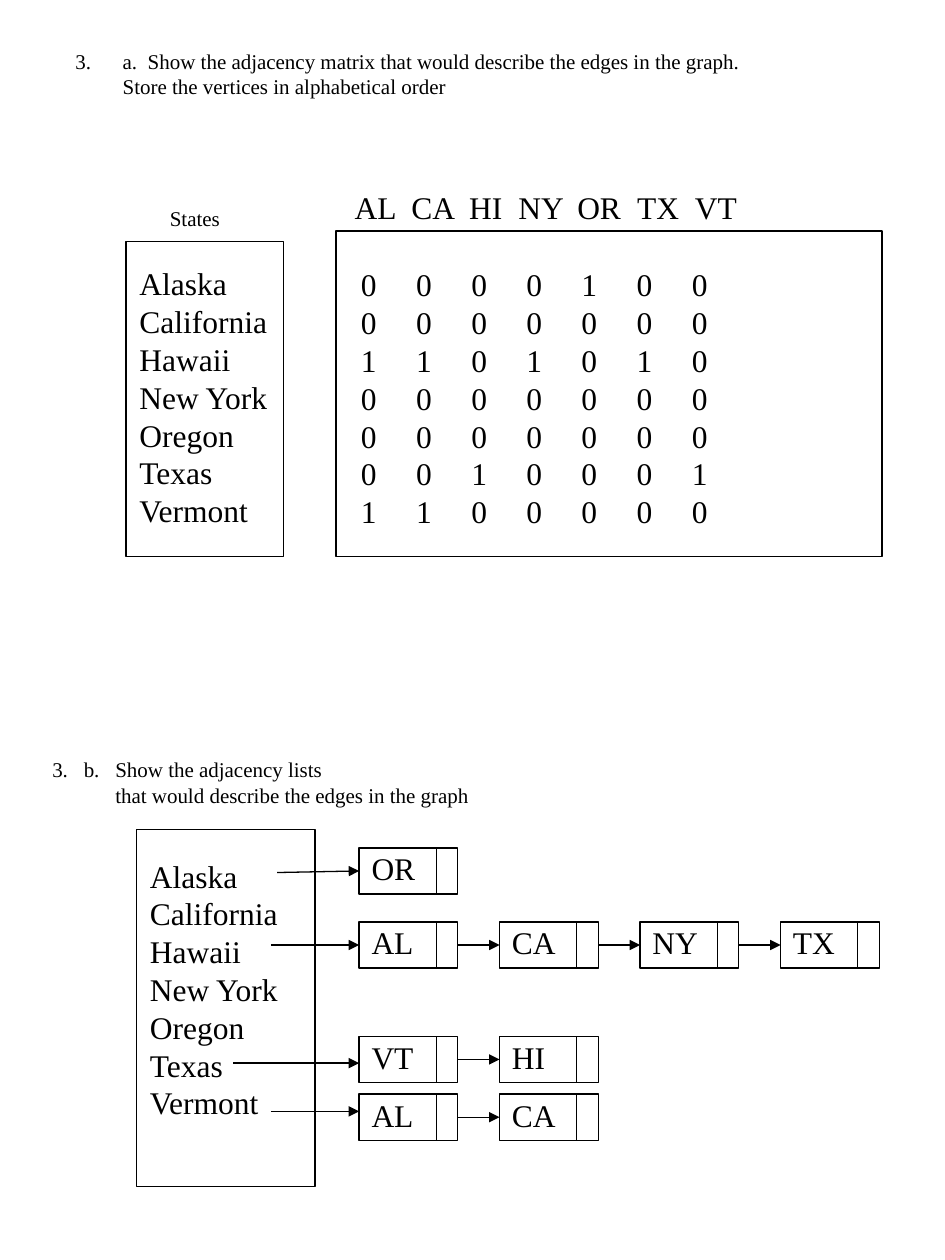
from lxml.etree import SubElement
from pptx import Presentation
from pptx.dml.color import RGBColor
from pptx.enum.shapes import MSO_CONNECTOR as Connector, MSO_SHAPE as Shape
from pptx.enum.text import MSO_AUTO_SIZE as AutoSize
from pptx.oxml.ns import qn
from pptx.util import Inches, Pt

INK = RGBColor(0x00, 0x00, 0x00)
FONT = "Times New Roman"
SMALL, LARGE = 12, 18

# The page is a grid of 90 columns by 120 rows, twelve cells to the inch
COLUMNS, ROWS = 90, 120
CELLS_PER_INCH = 12

STATES = ["Alaska", "California", "Hawaii", "New York", "Oregon", "Texas", "Vermont"]
CODES = ["AL", "CA", "HI", "NY", "OR", "TX", "VT"]
CODE_TABS = [5.4, 10.9, 15.6, 21.2, 26.9, 32.4]
DIGIT_PITCH = 5.25
MATRIX = ["0000100", "0000000", "1101010", "0000000", "0000000", "0010001", "1100000"]

# Linked nodes: width, height, divider offset, first column and pitch
NODE_WIDTH, NODE_HEIGHT, DIVIDER = 9.4, 4.4, 7.35
NODE_LEFT, NODE_PITCH = 34.2, 13.38

# Each list: node row, arrow start, arrow end row (None: middle of the node), codes
LISTS = [
    (80.75, (26.4, 83.1), None, ["OR"]),
    (87.8, (25.8, 90), None, ["AL", "CA", "NY", "TX"]),
    (98.7, (22.2, 101.25), 101.25, ["VT", "HI"]),
    (104.2, (25.8, 105.85), 105.85, ["AL", "CA"]),
]


def cells(count):
    return Inches(count / CELLS_PER_INCH)


def add_text(shapes, lines, left, top, width, height, size, wrap=True):
    box = shapes.add_textbox(*map(cells, (left, top, width, height)))
    frame = box.text_frame
    frame.word_wrap = wrap
    frame.auto_size = AutoSize.SHAPE_TO_FIT_TEXT
    for index, line in enumerate(lines):
        para = frame.paragraphs[0] if index == 0 else frame.add_paragraph()
        para.text = line
        para.font.name = FONT
        para.font.size = Pt(size)
        para.font.color.rgb = INK
    return frame.paragraphs


def set_tabs(para, stops):
    properties = para._p.get_or_add_pPr()
    tab_list = properties.makeelement(qn("a:tabLst"), {})
    for stop in stops:
        SubElement(tab_list, qn("a:tab"), pos=str(cells(stop)), algn="l")
    # Tab stops come before the default run properties
    properties.insert(0, tab_list)


def set_indent(para, left, first=0):
    properties = para._p.get_or_add_pPr()
    properties.set("marL", str(cells(left)))
    properties.set("indent", str(cells(first)))
    return properties


def add_frame(shapes, left, top, width, height):
    frame = shapes.add_shape(Shape.RECTANGLE, *map(cells, (left, top, width, height)))
    frame.shadow.inherit = False
    frame.fill.background()
    frame.line.color.rgb = INK
    frame.line.width = Pt(0.75)
    return frame


def add_line(shapes, start, end, arrow=False):
    line = shapes.add_connector(Connector.STRAIGHT, *map(cells, (*start, *end)))
    line.line.color.rgb = INK
    line.line.width = Pt(0.75)
    if arrow:
        SubElement(line.line._get_or_add_ln(), qn("a:tailEnd"), type="triangle")
    SubElement(line._element.spPr, qn("a:effectLst"))
    return line


def add_node(shapes, code, left, top):
    add_text(shapes, [code], left, top - 0.45, 7.8, 4.8, LARGE)
    node = add_frame(shapes, left, top, NODE_WIDTH, NODE_HEIGHT)
    split = left + DIVIDER
    add_line(shapes, (split, top), (split, top + NODE_HEIGHT))
    return node


def add_list(shapes, top, start, end_row, codes):
    lefts = [NODE_LEFT + NODE_PITCH * index for index in range(len(codes))]
    nodes = [add_node(shapes, code, left, top) for code, left in zip(codes, lefts)]
    middle = top + NODE_HEIGHT / 2

    # Arrow from the state to its first node
    pointer = add_line(shapes, start, (NODE_LEFT, end_row or middle), arrow=True)
    if end_row is None:
        pointer.end_connect(nodes[0], 1)

    # Arrows from node to node
    for source, target, left in zip(nodes, nodes[1:], lefts):
        link = add_line(shapes, (left + NODE_WIDTH, middle),
                        (left + NODE_PITCH, middle), arrow=True)
        link.begin_connect(source, 3)
        link.end_connect(target, 1)


def add_matrix(shapes):
    # Question 3a, numbered from three
    question = add_text(
        shapes,
        ["a.  Show the adjacency matrix that would describe the edges in the graph. "
         "Store the vertices in alphabetical order"],
        6, 4, 70, 6, SMALL)[0]
    set_tabs(question, [3])
    properties = set_indent(question, 4.5, -4.5)
    number = properties.makeelement(
        qn("a:buAutoNum"), {"type": "arabicPeriod", "startAt": "3"})
    properties.insert(0, number)

    # Frames and their caption
    group = page_group = shapes.add_group_shape()
    add_frame(page_group.shapes, 12, 23, 15, 30)
    add_frame(page_group.shapes, 32, 22, 52, 31)
    add_text(group.shapes, ["States"], 15, 19, 7.2, 3.6, SMALL, wrap=False)

    # State names, column codes and matrix values
    add_text(shapes, STATES, 12.1, 24.6, 14.8, 26.6, LARGE, wrap=False)
    header = add_text(shapes, ["\t".join(CODES)], 32.6, 17.3, 39.2, 4.8, LARGE)
    set_tabs(header[0], CODE_TABS)
    digit_tabs = [DIGIT_PITCH * index for index in range(1, len(CODES))]
    values = ["\t".join(row) for row in MATRIX]
    for para in add_text(shapes, values, 33.2, 24.7, 47.2, 26.6, LARGE):
        set_tabs(para, digit_tabs)


def add_adjacency_lists(shapes):
    # Question 3b, second line indented below the first
    first, second = add_text(
        shapes,
        ["3.\tb.\tShow the adjacency lists",
         "that would describe the edges in the graph"],
        3.8, 71.5, 42.4, 6, SMALL)
    set_tabs(first, [3, 6])
    set_indent(second, 6)

    # State column, then one linked list for each state with edges
    add_frame(shapes, 13, 79, 17, 34)
    add_text(shapes, STATES, 13.1, 81, 14.8, 26.6, LARGE, wrap=False)
    for entry in LISTS:
        add_list(shapes, *entry)


def main():
    deck = Presentation()
    deck.slide_width, deck.slide_height = cells(COLUMNS), cells(ROWS)
    page = deck.slides.add_slide(deck.slide_layouts[6])
    add_matrix(page.shapes)
    add_adjacency_lists(page.shapes)
    deck.save("out.pptx")


if __name__ == "__main__":
    main()
